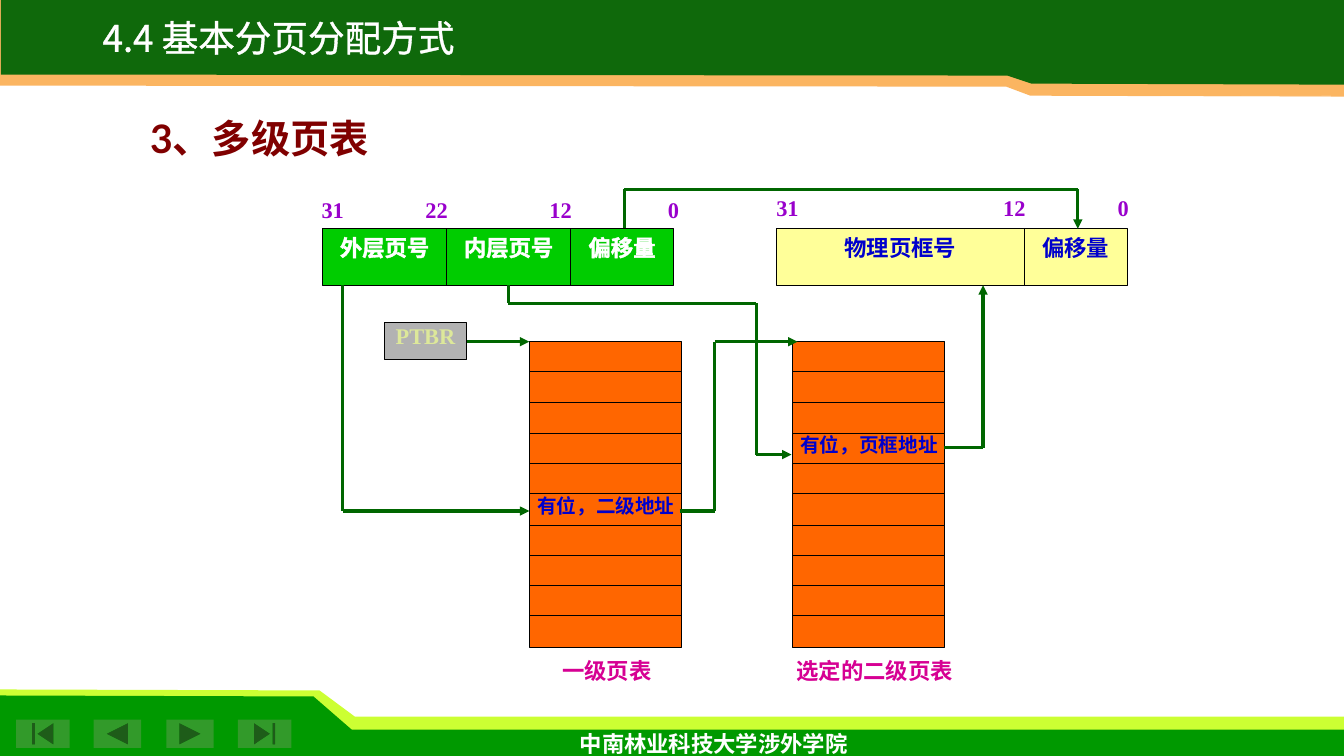
import pptx
import pptx.dml.color
import pptx.enum.shapes
import pptx.enum.text
import pptx.oxml
import pptx.oxml.ns
import pptx.util

PX = 9144  # 100 px to the inch
SHAPE = pptx.enum.shapes.MSO_SHAPE
ALIGN = pptx.enum.text.PP_ALIGN
ANCHOR = pptx.enum.text.MSO_ANCHOR
SERIF, SANS, CJK = "Times New Roman", "Lato", "Noto Sans CJK SC"

WHITE, BLACK, BLUE = "FFFFFF", "000000", "0000CC"
GREEN, YELLOW, ORANGE = "00CC00", "FFFF99", "FF6600"
PURPLE, PINK, ARROW_GREEN = "9900CC", "D60093", "006600"

FIELD_TOP, FIELD_HEIGHT = 227, 56
TABLE_TOP, ROW_PITCH, ROWS = 339, 30.25, 10
TABLE_WIDTH, ROW_HEIGHT = 151, 31

BANDS = [
    ("CCFF33", [(0, 684), (317, 685), (352, 711), (1333, 711), (1333, 740), (0, 740)]),
    ("009900", [(0, 690), (311, 691), (349, 724), (1333, 724), (1333, 750), (0, 750)]),
    ("FBB561", [(0, 0), (1333, 0), (1333, 96), (1022, 95), (998, 86), (0, 85)]),
    ("0F690B", [(1, 0), (1333, 0), (1333, 84), (1023, 83), (999, 75), (1, 74)]),
]
GLOSS = [(1005, 96), (1320, 95), (1319, 101), (1019, 101)]

BUTTONS = [
    (SHAPE.ACTION_BUTTON_BEGINNING, 16, 53),
    (SHAPE.ACTION_BUTTON_BACK_OR_PREVIOUS, 93, 47),
    (SHAPE.ACTION_BUTTON_FORWARD_OR_NEXT, 165, 47),
    (SHAPE.ACTION_BUTTON_END, 236, 53),
]

# text, left, width, fill, text colour, outline width
FIELDS = [
    ("外层页号", 320, 123, GREEN, WHITE, 0.75),
    ("内层页号", 443, 123, GREEN, WHITE, 0.75),
    ("偏移量", 566, 102, GREEN, WHITE, 0.75),
    ("物理页框号", 770, 246, YELLOW, BLUE, 0),
    ("偏移量", 1016, 102, YELLOW, BLUE, 0),
]

# text, centre, top
BIT_NUMBERS = [
    ("31", 330, 190), ("22", 433, 190), ("12", 556, 190), ("0", 668, 190),
    ("31", 781, 188), ("12", 1006, 188), ("0", 1114, 188),
]

# left, entry, entry top, caption, caption left, caption width
PAGE_TABLES = [
    (525, "有位，二级地址", 485, "一级页表", 520, 164),
    (786, "有位，页框地址", 425, "选定的二级页表", 765, 205),
]

ROUTES = [
    [(340, 283), (340, 507), (525, 507)],
    [(674, 507), (709, 507), (709, 339), (791, 339)],
    [(463, 339), (525, 339)],
    [(504, 283), (504, 301), (750, 301), (750, 451), (785, 451)],
    [(936, 444), (975, 444), (975, 283)],
    [(619, 226), (619, 188), (1069, 188), (1069, 227)],
]


def px(value):
    return pptx.util.Emu(value * PX)


def color(code):
    return pptx.dml.color.RGBColor.from_string(code)


def xml(text):
    head, tail = text.split(" ", 1)
    return pptx.oxml.parse_xml(f"{head} {pptx.oxml.ns.nsdecls('a')} {tail}")


def apply(target, values):
    for name, value in values.items():
        setattr(target, name, value)


def write(frame, text, text_color, size=16, face=SERIF, bold=True, outline=0,
          align=ALIGN.CENTER, spacing=None, **frame_format):
    """Fill a text frame with one styled paragraph."""
    apply(frame, {"word_wrap": True, "vertical_anchor": ANCHOR.TOP, **frame_format})
    paragraph = frame.paragraphs[0]
    apply(paragraph, {"alignment": align, "line_spacing": spacing})
    run = paragraph.add_run()
    run.text = text
    apply(run.font, {"name": face, "size": pptx.util.Pt(size), "bold": bold})
    run.font.color.rgb = color(text_color)
    properties = run.font._element
    latin = properties.find(pptx.oxml.ns.qn("a:latin"))
    latin.addnext(xml(f'<a:ea typeface="{CJK}"/>'))
    if outline:
        properties.insert(0, xml(
            f'<a:ln w="{pptx.util.Pt(outline)}"><a:solidFill>'
            f'<a:srgbClr val="{text_color}"/></a:solidFill></a:ln>'))


def add_label(slide, text, left, top, width, height, text_color, **style):
    label = slide.shapes.add_textbox(*map(px, (left, top, width, height)))
    write(label.text_frame, text, text_color, **style)


def paint(shape, fill, line=None):
    shape.shadow.inherit = False
    shape.fill.solid()
    shape.fill.fore_color.rgb = color(fill)
    if line:
        shape.line.color.rgb = color(line)
        shape.line.width = pptx.util.Pt(0.75)
    else:
        shape.line.fill.background()


def add_block(slide, left, top, width, height, fill, line=BLACK, kind=SHAPE.RECTANGLE):
    block = slide.shapes.add_shape(kind, *map(px, (left, top, width, height)))
    paint(block, fill, line)
    return block


def add_band(slide, fill, points):
    builder = slide.shapes.build_freeform(*points[0], scale=PX)
    builder.add_line_segments(points[1:], close=True)
    band = builder.convert_to_shape()
    paint(band, fill)
    return band


def add_route(slide, points):
    """Join points with straight lines and put an arrowhead on the last."""
    for start, end in zip(points, points[1:]):
        segment = slide.shapes.add_connector(
            pptx.enum.shapes.MSO_CONNECTOR.STRAIGHT, *map(px, start + end))
        segment.line.color.rgb = color(ARROW_GREEN)
        segment.line.width = pptx.util.Pt(2.25)
        segment._element.spPr.append(xml("<a:effectLst />"))
    segment.line._get_or_add_ln().append(xml('<a:tailEnd type="triangle"/>'))


def add_page_table(slide, left, entry, entry_top, caption, caption_left, caption_width):
    for row in range(ROWS):
        add_block(slide, left, TABLE_TOP + round(row * ROW_PITCH),
                  TABLE_WIDTH, ROW_HEIGHT, ORANGE)
    add_label(slide, entry, left - 16, entry_top, 184, 56, BLUE, size=14)
    add_label(slide, caption, caption_left, 647, caption_width, 56, PINK)


def add_frame(slide):
    """Draw the header, the footer and the navigation buttons."""
    for fill, points in BANDS:
        add_band(slide, fill, points)
    gloss = add_band(slide, WHITE, GLOSS)
    gloss.fill._xPr.find(".//" + pptx.oxml.ns.qn("a:srgbClr")).append(
        xml('<a:alpha val="30000"/>'))
    for kind, left, width in BUTTONS:
        add_block(slide, left, 714, width, 28, "329A2A", line=None, kind=kind)
    add_label(slide, "中南林业科技大学涉外学院", 486, 719, 444, 37, WHITE, face=SANS)


def main():
    deck = pptx.Presentation()
    apply(deck, {"slide_width": px(1333), "slide_height": px(750)})
    slide = deck.slides.add_slide(deck.slide_layouts[6])

    add_frame(slide)
    add_label(slide, "4.4 基本分页分配方式", 56, 18, 441, 46, WHITE, size=26.1, face=CJK,
              bold=False, outline=1.5, spacing=0.8, word_wrap=False,
              vertical_anchor=ANCHOR.MIDDLE)
    add_label(slide, "3、多级页表", 139, 108, 897, 71, "800000", size=28, face=SANS,
              align=ALIGN.LEFT)

    for text, left, width, fill, text_color, outline in FIELDS:
        field = add_block(slide, left, FIELD_TOP, width, FIELD_HEIGHT, fill)
        write(field.text_frame, text, text_color, outline=outline)
    for text, centre, top in BIT_NUMBERS:
        add_label(slide, text, centre - 41, top, 82, 56, PURPLE)

    register = add_block(slide, 381, 320, 82, 37, "B2B2B2")
    write(register.text_frame, "PTBR", "DDE89A",
          margin_left=0, margin_top=0, margin_right=0, margin_bottom=0)
    for page_table in PAGE_TABLES:
        add_page_table(slide, *page_table)
    for points in ROUTES:
        add_route(slide, points)

    deck.save("out.pptx")


if __name__ == "__main__":
    main()
